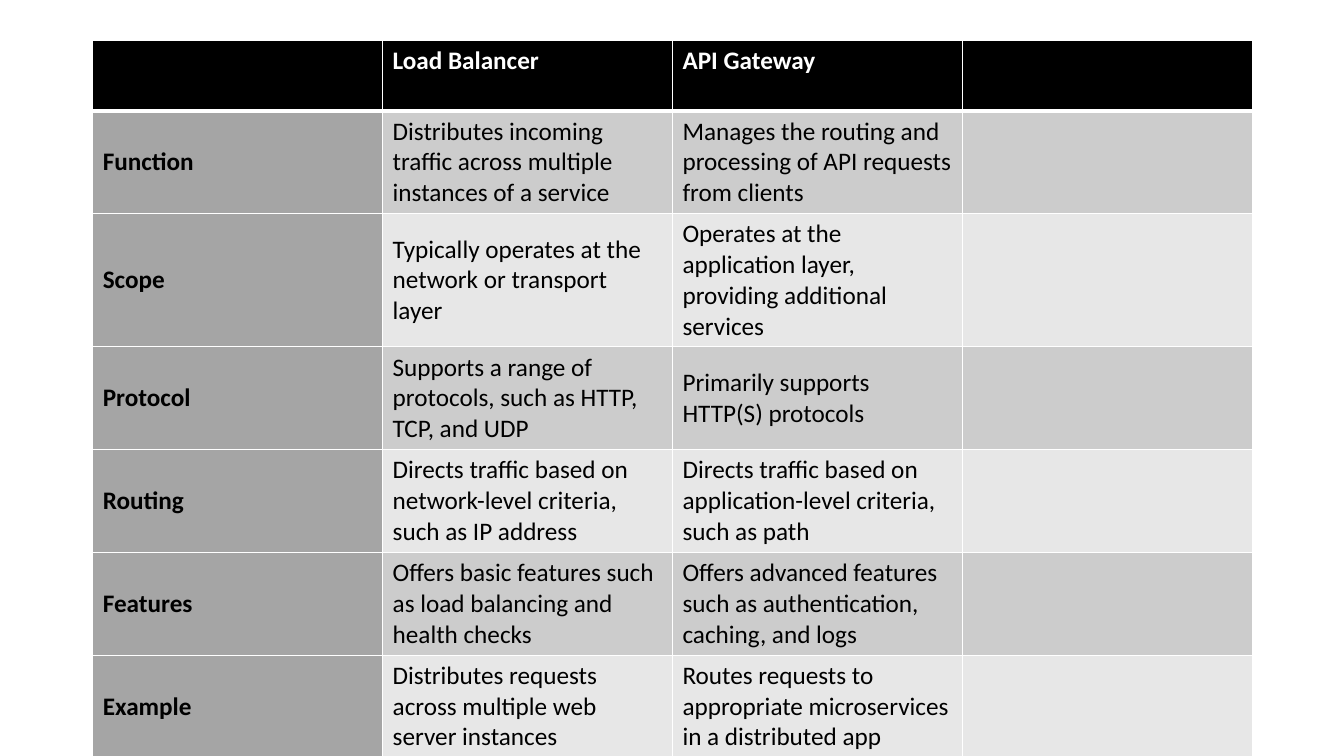
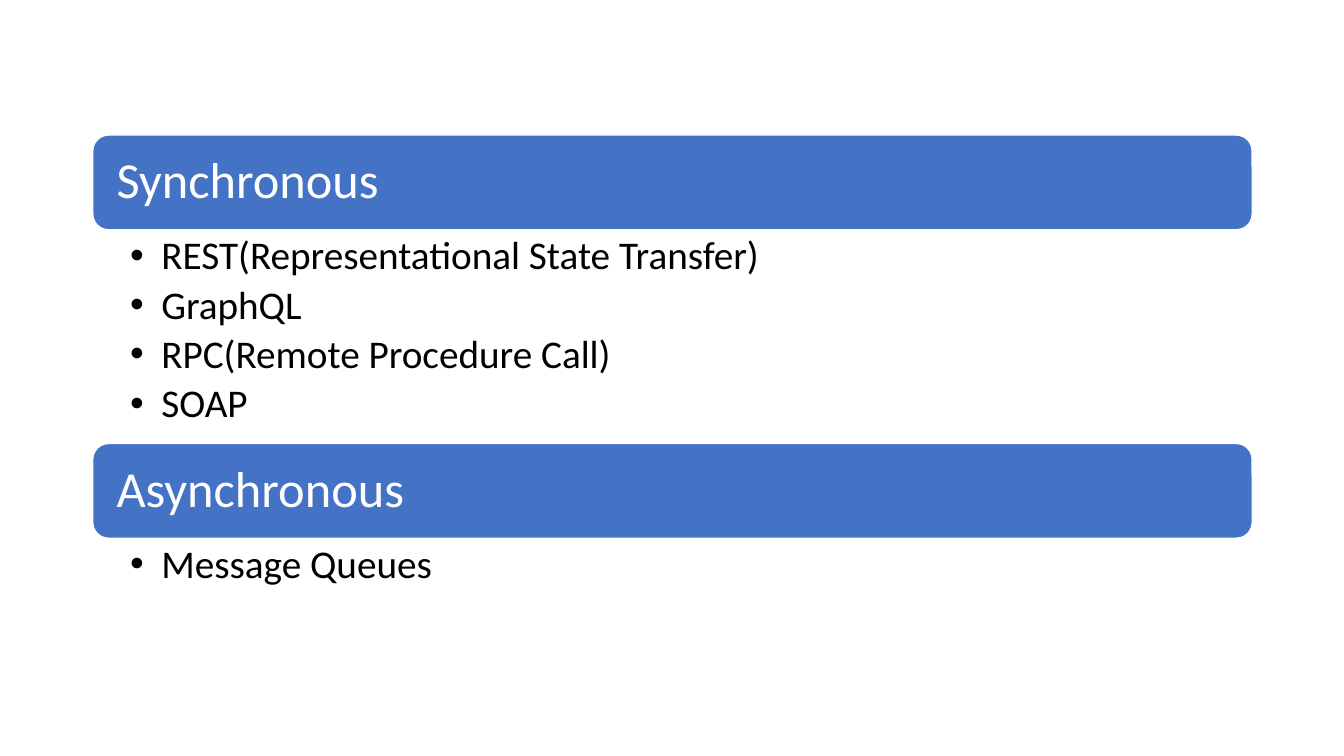
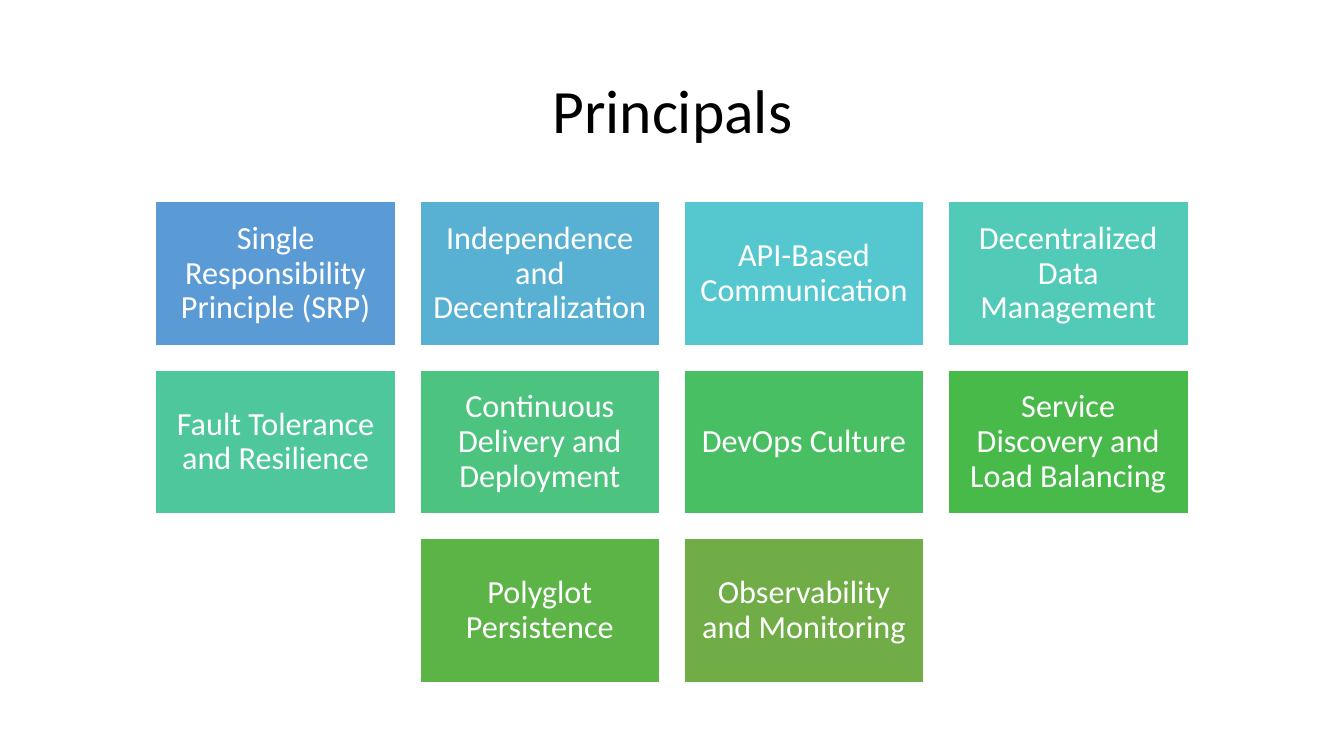
import pptx
import pptx.util
import pptx.dml.color
import pptx.enum.shapes
import pptx.enum.text
import pptx.oxml
import pptx.oxml.ns

Inches, Pt = pptx.util.Inches, pptx.util.Pt
RGB = pptx.dml.color.RGBColor.from_string
ALIGN, ANCHOR = pptx.enum.text.PP_ALIGN, pptx.enum.text.MSO_ANCHOR
SHAPE = pptx.enum.shapes.MSO_SHAPE

COLORS = {
    "white": "FFFFFF", "black": "000000", "blue": "4472C4",
    "label": "A5A5A5", "band_dark": "CCCCCC", "band_light": "E7E7E7",
}
SLIDE_W, SLIDE_H = 13.33, 7.5
LEFT, WIDTH = 0.92, 11.5

prs = pptx.Presentation()
prs.slide_width, prs.slide_height = Inches(SLIDE_W), Inches(SLIDE_H)


def style(p, size, color, align=ALIGN.LEFT, bold=False, spacing=0.9):
    p.alignment = align
    p.line_spacing = spacing
    p.font.name, p.font.size, p.font.bold = "Calibri", Pt(size), bold
    p.font.color.rgb = RGB(COLORS[color])


def add_box(s, kind, at, fill, text, size, align, inset):
    sp = s.shapes.add_shape(kind, *map(Inches, at))
    sp.shadow.inherit = False
    sp.fill.solid()
    sp.fill.fore_color.rgb = RGB(fill)
    sp.line.color.rgb = RGB(COLORS["white"])
    sp.line.width = Pt(1)
    tf = sp.text_frame
    tf.word_wrap = True
    tf.vertical_anchor = ANCHOR.MIDDLE
    tf.margin_left = tf.margin_right = Inches(inset)
    tf.margin_top = tf.margin_bottom = Inches(0.1)
    tf.text = text
    style(tf.paragraphs[0], size, "white", align)


# Slide 1: comparison table
rows = [
    ("", "Load Balancer", "API Gateway", ""),
    ("Function", "Distributes incoming traffic across multiple instances of a service",
     "Manages the routing and processing of API requests from clients", ""),
    ("Scope", "Typically operates at the network or transport layer",
     "Operates at the application layer, providing additional services", ""),
    ("Protocol", "Supports a range of protocols, such as HTTP, TCP, and UDP",
     "Primarily supports HTTP(S) protocols", ""),
    ("Routing", "Directs traffic based on network-level criteria, such as IP address",
     "Directs traffic based on application-level criteria, such as path", ""),
    ("Features", "Offers basic features such as load balancing and health checks",
     "Offers advanced features such as authentication, caching, and logs", ""),
    ("Example", "Distributes requests across multiple web server instances",
     "Routes requests to appropriate microservices in a distributed app", ""),
]
heights = [0.7, 1.02, 1.32, 1.02, 1.02, 1.02, 1.02]

s = prs.slides.add_slide(prs.slide_layouts[6])
table = s.shapes.add_table(len(rows), 4, Inches(LEFT), Inches(0.4),
                           Inches(WIDTH), Inches(sum(heights))).table
table.horz_banding = False
for i, row in enumerate(rows):
    table.rows[i].height = Inches(heights[i])
    for j, text in enumerate(row):
        cell = table.cell(i, j)
        header, label = i == 0, j == 0
        # White borders, thicker around the line under the header
        for side in ("L", "R", "T", "B"):
            thick = (header and side == "B") or (i == 1 and side == "T")
            cell._tc.get_or_add_tcPr().append(pptx.oxml.parse_xml(
                f'<a:ln{side} {pptx.oxml.ns.nsdecls("a")} w="{Pt(3 if thick else 1)}">'
                f'<a:solidFill><a:srgbClr val="{COLORS["white"]}"/></a:solidFill></a:ln{side}>'))
        if header:
            fill = "black"
        elif label:
            fill = "label"
        else:
            fill = "band_dark" if i % 2 else "band_light"
        cell.fill.solid()
        cell.fill.fore_color.rgb = RGB(COLORS[fill])
        cell.vertical_anchor = ANCHOR.TOP if header else ANCHOR.MIDDLE
        cell.text = text
        style(cell.text_frame.paragraphs[0], 18, "white" if header else "black",
              bold=header or label, spacing=1.0)

# Slide 2: communication styles
sections = [
    ("Synchronous", 1.34, 2.12,
     ["REST(Representational State Transfer)", "GraphQL", "RPC(Remote Procedure Call)", "SOAP"]),
    ("Asynchronous", 4.4, 0.65, ["Message Queues"]),
]
BAR_H = 0.94

s = prs.slides.add_slide(prs.slide_layouts[3])
title = s.shapes.title
title._element.getparent().remove(title._element)
for (heading, top, list_h, items), body in zip(sections, list(s.placeholders)):
    add_box(s, SHAPE.ROUNDED_RECTANGLE, (LEFT, top, WIDTH, BAR_H), COLORS["blue"],
            heading, 36, ALIGN.LEFT, 0.19)
    body.left, body.top = Inches(LEFT), Inches(top + BAR_H + 0.01)
    body.width, body.height = Inches(WIDTH), Inches(list_h)
    tf = body.text_frame
    tf.auto_size = pptx.enum.text.MSO_AUTO_SIZE.NONE
    tf.margin_left, tf.margin_right = Inches(0.37), Inches(0.28)
    tf.text = "\n".join(items)
    for p in tf.paragraphs:
        pPr = p._p.get_or_add_pPr()
        pPr.set("marL", str(Inches(0.31)))
        pPr.set("indent", str(-Inches(0.31)))
        p.space_before, p.space_after = Pt(0), Pt(5)
        style(p, 28, "black")

# Slide 3: grid of principles, each row centred
cards = [
    [("Single Responsibility Principle (SRP)", "5B9BD5"),
     ("Independence and Decentralization", "58B1D2"),
     ("API-Based Communication", "55C7CE"),
     ("Decentralized Data Management", "52CAB8")],
    [("Fault Tolerance and Resilience", "4FC79C"),
     ("Continuous Delivery and Deployment", "4CC37F"),
     ("DevOps Culture", "49BF64"),
     ("Service Discovery and Load Balancing", "47BA49")],
    [("Polyglot Persistence", "5CB447"),
     ("Observability and Monitoring", "70AD47")],
]
CARD_W, CARD_H, GAP = 2.38, 1.43, 0.24

s = prs.slides.add_slide(prs.slide_layouts[5])
title = s.shapes.title
title.left, title.top = Inches(LEFT), Inches(0.4)
title.width, title.height = Inches(WIDTH), Inches(1.45)
title.text_frame.text = "Principals"
title.text_frame.vertical_anchor = ANCHOR.MIDDLE
style(title.text_frame.paragraphs[0], 44, "black", ALIGN.CENTER)
for i, row in enumerate(cards):
    row_left = (SLIDE_W - len(row) * (CARD_W + GAP) + GAP) / 2
    for j, (text, fill) in enumerate(row):
        at = (row_left + j * (CARD_W + GAP), 2 + i * (CARD_H + GAP), CARD_W, CARD_H)
        add_box(s, SHAPE.RECTANGLE, at, fill, text, 23, ALIGN.CENTER, 0.1)

prs.save("out.pptx")
